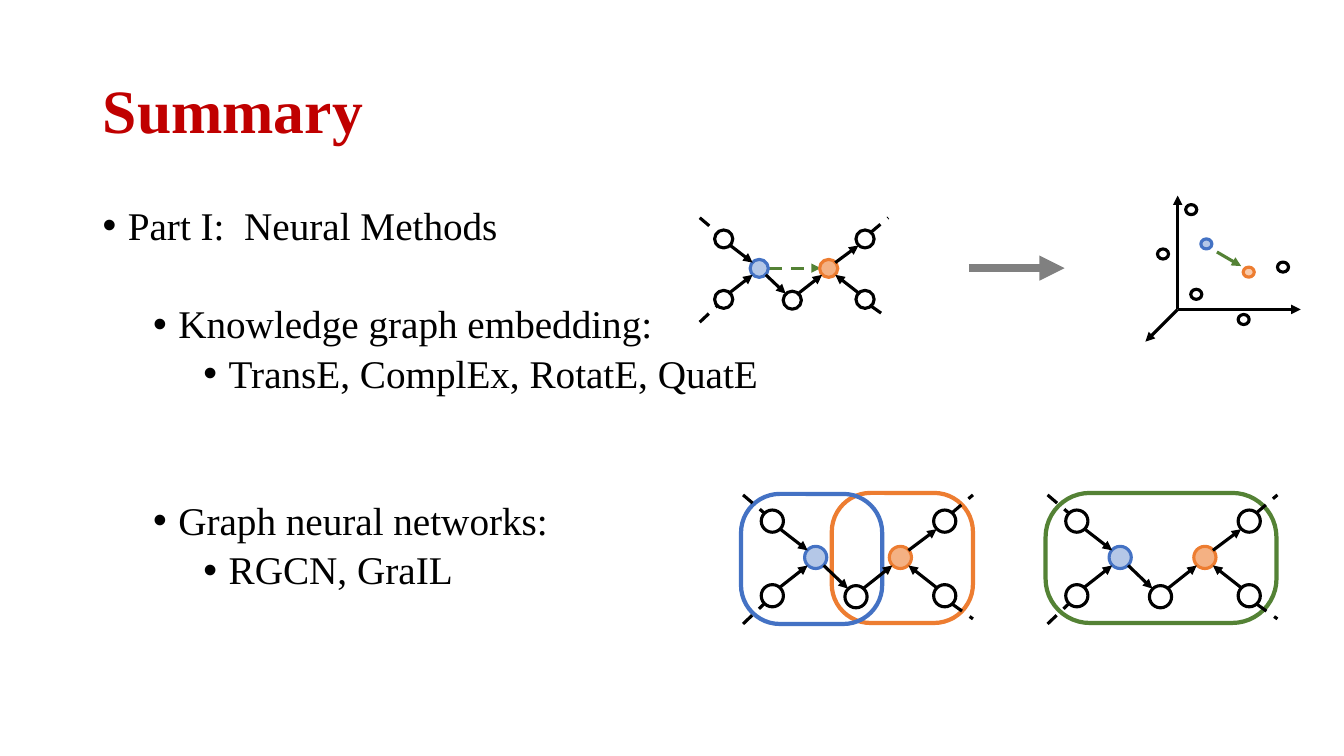
from lxml import etree
from pptx import Presentation
from pptx.dml.color import RGBColor
from pptx.enum import dml, shapes, text
from pptx.oxml import ns
from pptx.util import Inches, Pt

FONT = "Times New Roman"
BLACK, WHITE, RED, GRAY = "000000", "FFFFFF", "C00000", "808080"
BLUE, ORANGE, GREEN = "4472C4", "ED7D31", "548235"
LIGHT_BLUE, LIGHT_ORANGE, PALE_ORANGE = "B4C7E7", "F4B183", "F8CBAD"
color = RGBColor.from_string

presentation = Presentation()
presentation.slide_width = Inches(13.33)
presentation.slide_height = Inches(7.5)
slide = presentation.slides.add_slide(presentation.slide_layouts[5])


def add_outline(kind, left, top, width, height, line_color, fill=None, weight=2.25):
    shape = slide.shapes.add_shape(
        kind, Inches(left), Inches(top), Inches(width), Inches(height))
    shape.shadow.inherit = False
    if fill:
        shape.fill.solid()
        shape.fill.fore_color.rgb = color(fill)
    else:
        shape.fill.background()
    shape.line.color.rgb = color(line_color)
    shape.line.width = Pt(weight)
    return shape


def add_line(start, end, line_color=BLACK, weight=2.25, dashed=False, arrow=True):
    connector = slide.shapes.add_connector(
        shapes.MSO_CONNECTOR.STRAIGHT, *[Inches(value) for value in (*start, *end)])
    connector.line.color.rgb = color(line_color)
    connector.line.width = Pt(weight)
    if dashed:
        connector.line.dash_style = dml.MSO_LINE.DASH
    properties = connector.element.spPr
    if arrow:
        etree.SubElement(properties.find(ns.qn("a:ln")), ns.qn("a:tailEnd"), type="triangle")
    etree.SubElement(properties, ns.qn("a:effectLst"))


# Title
title = slide.shapes.title
title.left, title.top = Inches(0.92), Inches(0.4)
title.width, title.height = Inches(11.5), Inches(1.45)
title.text_frame.text = "Summary"
title.text_frame.vertical_anchor = text.MSO_ANCHOR.MIDDLE
heading = title.text_frame.paragraphs[0]
heading.alignment = text.PP_ALIGN.LEFT
heading.line_spacing = 0.9
heading.font.name, heading.font.size, heading.font.bold = FONT, Pt(44), True
heading.font.color.rgb = color(RED)

# Bullet list: level, space before in points, wording
bullets = [
    (0, 0, "Part I:  Neural Methods"),
    (1, 40, "Knowledge graph embedding:"),
    (2, 5, "TransE, ComplEx, RotatE, QuatE"),
    (1, 75, "Graph neural networks:"),
    (2, 5, "RGCN, GraIL"),
]
body = slide.shapes.add_textbox(Inches(0.92), Inches(2), Inches(11.5), Inches(4.76))
body.text_frame.word_wrap = True
for index, (level, space, wording) in enumerate(bullets):
    paragraph = body.text_frame.paragraphs[0] if index == 0 else body.text_frame.add_paragraph()
    paragraph.text = wording
    paragraph.level = level
    paragraph.line_spacing = 0.9
    paragraph.space_before = Pt(space)
    properties = paragraph._p.get_or_add_pPr()
    properties.set("marL", str(Inches(0.25 + 0.5 * level)))
    properties.set("indent", str(Inches(-0.25)))
    etree.SubElement(properties, ns.qn("a:buFont"), typeface="Arial")
    etree.SubElement(properties, ns.qn("a:buChar"), char="•")
    paragraph.font.name, paragraph.font.size = FONT, Pt(28)
    paragraph.font.color.rgb = color(BLACK)

# Frames around the lower graphs: left, top, width, corner, colour
frames = [
    (8.25, 4.89, 1.4, 0.298, ORANGE),
    (7.35, 4.9, 1.4, 0.298, BLUE),
    (10.37, 4.89, 2.29, 0.34, GREEN),
]
for left, top, width, corner, frame_color in frames:
    frame = add_outline(shapes.MSO_SHAPE.ROUNDED_RECTANGLE, left, top, width, 1.29,
                        frame_color, weight=3)
    frame.adjustments[0] = corner

# Predicted link in the upper graph
add_line((7.63, 2.66), (8.14, 2.66), GREEN, dashed=True)

# One graph, drawn three times: positions relative to its top left corner
nodes = [
    (1.01, 0.9, BLACK, WHITE),
    (0.18, 0.15, BLACK, WHITE),
    (0.18, 0.89, BLACK, WHITE),
    (1.89, 0.15, BLACK, WHITE),
    (1.89, 0.89, BLACK, WHITE),
    (0.61, 0.51, BLUE, LIGHT_BLUE),
    (1.45, 0.51, ORANGE, LIGHT_ORANGE),
]
edges = [
    (0.8, 0.7, 1.04, 0.93),
    (0.37, 0.34, 0.64, 0.55),
    (0.36, 0.92, 0.64, 0.7),
    (1.64, 0.55, 1.92, 0.34),
    (1.92, 0.92, 1.64, 0.7),
    (1.19, 0.93, 1.48, 0.7),
]
loose_ends = [
    (2.07, 0.18, 2.28, 0),
    (2.07, 1.08, 2.28, 1.23),
    (0, 1.28, 0.21, 1.08),
    (0, 0, 0.21, 0.18),
]
# Left, top, horizontal scale, vertical scale
graphs = [(6.94, 2.16, 0.82, 0.81), (7.37, 4.91, 1, 1), (10.39, 4.91, 1, 1)]
for left, top, scale_x, scale_y in graphs:
    for x, y, outline, fill in nodes:
        add_outline(shapes.MSO_SHAPE.OVAL, left + x * scale_x, top + y * scale_y,
                    0.22 * scale_x, 0.22 * scale_y, outline, fill)
    for x1, y1, x2, y2 in edges + loose_ends:
        loose = (x1, y1, x2, y2) in loose_ends
        add_line((left + x1 * scale_x, top + y1 * scale_y),
                 (left + x2 * scale_x, top + y2 * scale_y), dashed=loose, arrow=not loose)

# Arrow from the graph to the embedding space
add_line((9.61, 2.66), (10.56, 2.66), GRAY, weight=6)

# Embedding space: axes, points and relation vector
for axis_end in [(11.68, 1.94), (12.9, 3.07), (11.36, 3.39)]:
    add_line((11.68, 3.07), axis_end)
points = [
    (11.91, 2.37, BLUE, LIGHT_BLUE),
    (12.33, 2.65, ORANGE, PALE_ORANGE),
    (12.67, 2.6, BLACK, None),
    (12.28, 3.12, BLACK, None),
    (11.48, 2.47, BLACK, None),
    (11.76, 2.03, BLACK, None),
    (11.81, 2.87, BLACK, None),
]
for left, top, outline, fill in points:
    add_outline(shapes.MSO_SHAPE.OVAL, left, top, 0.11, 0.1, outline, fill)
add_line((12.07, 2.5), (12.31, 2.64), GREEN)

presentation.save("out.pptx")
